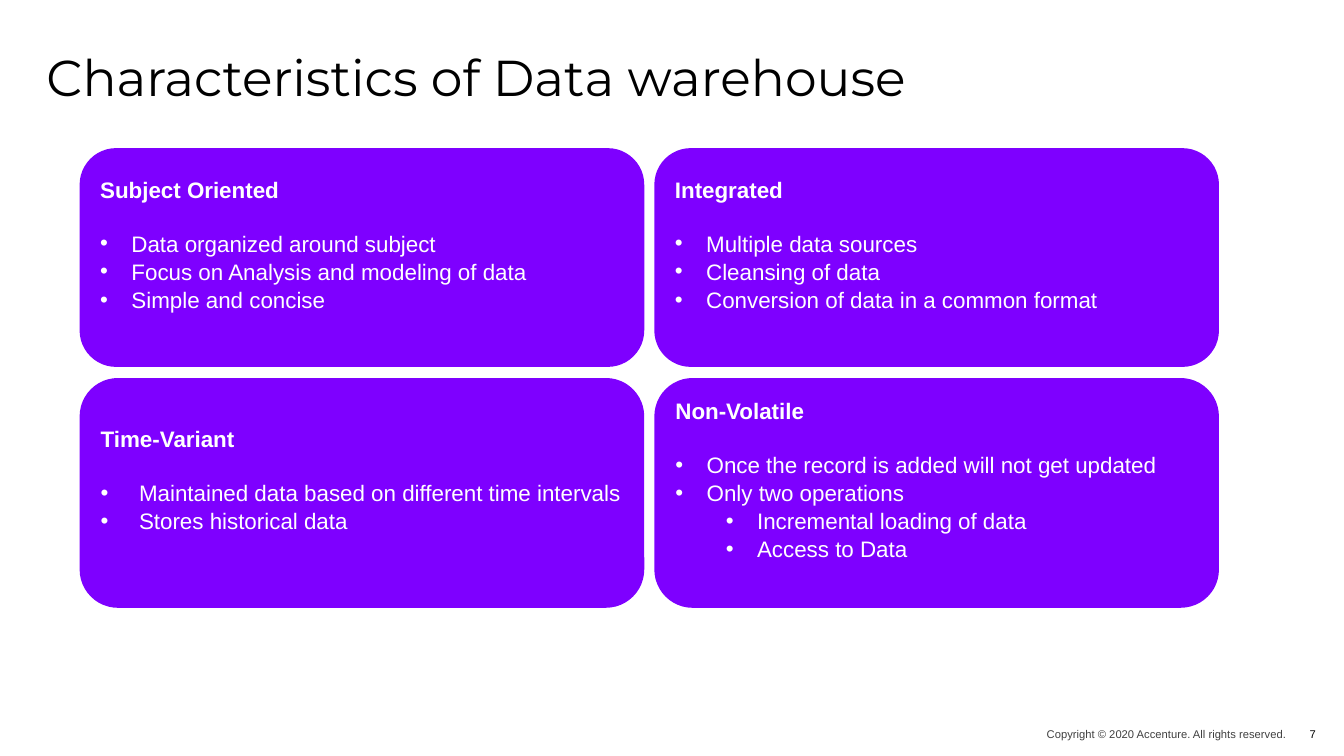
from lxml import etree
from pptx import Presentation
from pptx import util as u
from pptx.dml.color import RGBColor
from pptx.enum import shapes, text
from pptx.oxml.ns import qn

PURPLE = RGBColor(0x7E, 0x00, 0xFF)
WHITE = RGBColor(0xFF, 0xFF, 0xFF)
BLACK = RGBColor(0x00, 0x00, 0x00)
GRAY = RGBColor(0x40, 0x40, 0x40)


def style(para, size, color, bold=False, face="Arial"):
    para.font.name = face
    para.font.size = u.Pt(size)
    para.font.color.rgb = color
    para.font.bold = bold


def bullet(para, left, hang):
    """Give the paragraph a round bullet; lengths are in inches."""
    props = para._p.get_or_add_pPr()
    props.set("marL", str(u.Inches(left)))
    props.set("indent", str(-u.Inches(hang)))
    etree.SubElement(props, qn("a:buFont")).set("typeface", "Arial")
    etree.SubElement(props, qn("a:buChar")).set("char", "•")


deck = Presentation()
deck.slide_width = u.Inches(13.33)
deck.slide_height = u.Inches(7.5)
slide = deck.slides.add_slide(deck.slide_layouts[5])

# Title
title = slide.shapes.title
title.left, title.top = u.Inches(0.36), u.Inches(0.57)
title.width, title.height = u.Inches(12.5), u.Inches(1.08)
frame = title.text_frame
frame.text = "Characteristics of Data warehouse"
frame.vertical_anchor = text.MSO_ANCHOR.TOP
frame.auto_size = text.MSO_AUTO_SIZE.NONE
para = frame.paragraphs[0]
para.alignment = text.PP_ALIGN.LEFT
para.line_spacing = 0.7
style(para, 36, BLACK, face="Montserrat")

# Cards: column, row, heading, bullet hang, (level, line) pairs
CARDS = [
    (0, 0, "Subject Oriented", 0.31, [
        (0, "Data organized around subject"),
        (0, "Focus on Analysis and modeling of data"),
        (0, "Simple and concise")]),
    (1, 0, "Integrated", 0.31, [
        (0, "Multiple data sources"),
        (0, "Cleansing of data"),
        (0, "Conversion of data in a common format")]),
    (0, 1, "Time-Variant", 0.38, [
        (0, "Maintained data based on different time intervals"),
        (0, "Stores historical data")]),
    (1, 1, "Non-Volatile", 0.31, [
        (0, "Once the record is added will not get updated"),
        (0, "Only two operations"),
        (1, "Incremental loading of data"),
        (1, "Access to Data")]),
]
LEFT, WIDTH, GAP = 0.79, 5.6, 0.1
ROWS = [(1.47, 2.17), (3.75, 2.28)]  # top, height

for col, row, head, hang, lines in CARDS:
    top, height = ROWS[row]
    card = slide.shapes.add_shape(
        shapes.MSO_SHAPE.ROUNDED_RECTANGLE,
        u.Inches(LEFT + col * (WIDTH + GAP)), u.Inches(top),
        u.Inches(WIDTH), u.Inches(height))
    card.shadow.inherit = False
    card.fill.solid()
    card.fill.fore_color.rgb = PURPLE
    card.line.fill.background()
    frame = card.text_frame
    frame.word_wrap = True
    frame.vertical_anchor = text.MSO_ANCHOR.MIDDLE
    frame.margin_bottom = u.Inches(0.31)
    para = frame.paragraphs[0]
    para.text = head
    para.alignment = text.PP_ALIGN.LEFT
    para.space_after = u.Pt(18.4)
    style(para, 16, WHITE, bold=True)
    for level, line in lines:
        para = frame.add_paragraph()
        para.text = line
        para.level = level
        para.alignment = text.PP_ALIGN.LEFT
        para.line_spacing = 1.05
        bullet(para, hang + level * 0.5, hang)
        style(para, 16, WHITE)

# Footer: left, width, wording, alignment, colour
FOOT = [
    (9.36, 3.4, "Copyright © 2020 Accenture. All rights reserved.",
     text.PP_ALIGN.RIGHT, GRAY),
    (12.81, 0.42, "7", text.PP_ALIGN.CENTER, BLACK),
]
for left, width, words, align, color in FOOT:
    box = slide.shapes.add_textbox(
        u.Inches(left), u.Inches(7.17), u.Inches(width), u.Inches(0.23))
    frame = box.text_frame
    frame.word_wrap = True
    frame.vertical_anchor = text.MSO_ANCHOR.MIDDLE
    frame.margin_left = frame.margin_right = 0
    frame.margin_top = frame.margin_bottom = 0
    para = frame.paragraphs[0]
    para.text = words
    para.alignment = align
    style(para, 8, color)

deck.save("out.pptx")
